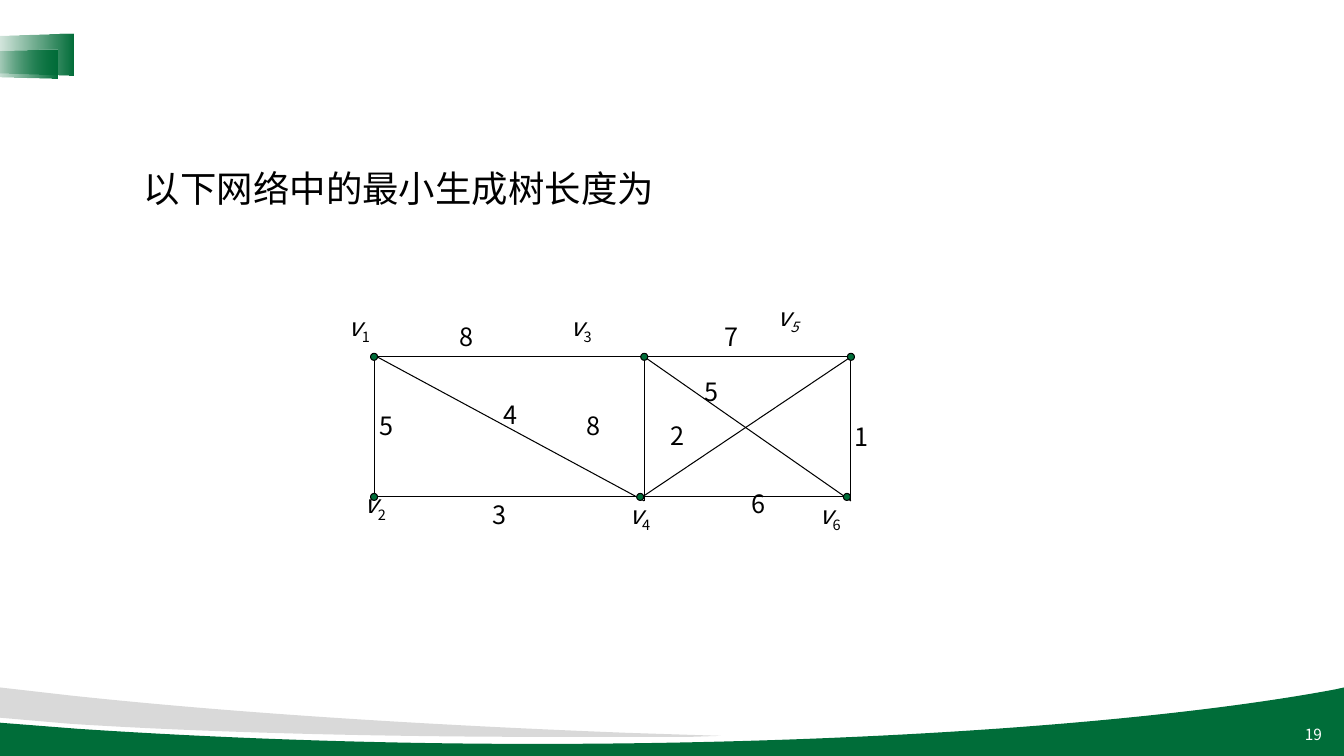
from pptx import Presentation
from pptx.dml.color import RGBColor
from pptx.enum.shapes import MSO_CONNECTOR as Connector, MSO_SHAPE as Shape
from pptx.enum.text import MSO_ANCHOR as Anchor, PP_ALIGN as Align
from pptx.oxml.ns import qn
from pptx.util import Inches, Pt
from lxml.etree import SubElement

GREEN = RGBColor(0x00, 0x6D, 0x39)
GRAY = RGBColor(0xD9, 0xD9, 0xD9)
BLACK = RGBColor(0, 0, 0)
WHITE = RGBColor(0xFF, 0xFF, 0xFF)
FONT = "Noto Sans CJK SC"
WIDTH, HEIGHT = 13.33, 7.5

# Places in the network are measured from vertex 1.
BOTTOM, MIDDLE, RIGHT = 1.39, 2.68, 4.73
VERTICES = {  # number: (dot centre, label corner)
    1: ((0, 0), (-0.35, -0.5)),
    2: ((0, BOTTOM), (-0.19, 1.26)),
    3: ((MIDDLE, 0), (1.85, -0.5)),
    4: ((2.64, BOTTOM), (2.43, 1.36)),
    5: ((RIGHT, 0), (3.9, -0.6)),
    6: ((4.69, BOTTOM), (4.32, 1.36)),
}
EDGES = [  # weight, start, end, label corner
    (8, (0.03, 0), (MIDDLE, 0), (0.75, -0.4)),
    (5, (0, 0), (0, BOTTOM), (-0.04, 0.48)),
    (4, (0.03, 0), (MIDDLE, 1.43), (1.19, 0.37)),
    (3, (0.03, BOTTOM), (2.66, BOTTOM), (1.08, 1.36)),
    (8, (MIDDLE, 0), (MIDDLE, 1.43), (2.01, 0.48)),
    (7, (MIDDLE, 0), (RIGHT, 0), (3.38, -0.4)),
    (2, (RIGHT, 0), (2.66, BOTTOM), (2.84, 0.58)),
    (5, (MIDDLE, 0), (RIGHT, 1.43), (3.18, 0.14)),
    (6, (MIDDLE, BOTTOM), (RIGHT, BOTTOM), (3.65, 1.26)),
    (1, (RIGHT, 0), (RIGHT, 1.43), (4.67, 0.59)),
]


def add_text(page, spans, left, top, width, height, size,
             color=BLACK, align=Align.LEFT, anchor=Anchor.TOP):
    """Add a one-paragraph box; each span is (text, italic, baseline)."""
    box = page.shapes.add_textbox(*map(Inches, (left, top, width, height)))
    box.text_frame.word_wrap = True
    box.text_frame.vertical_anchor = anchor
    para = box.text_frame.paragraphs[0]
    para.alignment = align
    for text, italic, baseline in spans:
        span = para.add_run()
        span.text = text
        look = {"name": FONT, "size": Pt(size), "italic": italic}
        for key, value in look.items():
            setattr(span.font, key, value)
        span.font.color.rgb = color
        props = span.font._element
        SubElement(props, qn("a:ea")).set("typeface", FONT)
        if baseline:
            props.set("baseline", str(baseline))


def add_wave(page, color, start, segments):
    """Add a filled outline; a segment of three points is a Bezier curve."""
    corners = [tuple(map(Inches, segment[-1])) for segment in segments]
    builder = page.shapes.build_freeform(*map(Inches, start), scale=1.0)
    builder.add_line_segments(corners, close=True)
    wave = builder.convert_to_shape()
    for line, segment in zip(list(wave._element.iter(qn("a:lnTo"))), segments):
        if len(segment) == 1:
            continue
        outline = line.getparent()
        curve = SubElement(outline, qn("a:cubicBezTo"))
        for x, y in segment:
            point = SubElement(curve, qn("a:pt"))
            point.set("x", str(Inches(x) - wave.left))
            point.set("y", str(Inches(y) - wave.top))
        outline.replace(line, curve)
    wave.shadow.inherit = False
    wave.fill.solid()
    wave.fill.fore_color.rgb = color
    wave.line.fill.background()


def add_footer(page):
    add_wave(page, GREEN, (WIDTH, 6.82), [
        [(WIDTH, HEIGHT)], [(0, HEIGHT)], [(0, 7.17)], [(0.77, 7.23)],
        [(2.12, 7.32), (3.67, 7.38), (5.32, 7.38)],
        [(8.62, 7.38), (11.53, 7.16), (13.24, 6.84)]])
    add_wave(page, GRAY, (0, 6.82), [
        [(0.7, 6.9)], [(2.29, 7.07), (4.17, 7.19), (6.22, 7.27)],
        [(7.15, 7.3)], [(6.84, 7.31)],
        [(6.4, 7.31), (5.94, 7.31), (5.48, 7.31)],
        [(3.61, 7.31), (1.92, 7.26), (0.69, 7.18)], [(0, 7.12)]])
    add_text(page, [("19", False, 0)], 10.21, 7.09, 3, 0.4, 11,
             WHITE, Align.RIGHT, Anchor.MIDDLE)


def add_corner_flag(page, left, top, width, height):
    """Add a trapezoid lying on its side that fades out to the left."""
    flag = page.shapes.add_shape(
        Shape.TRAPEZOID, *map(Inches, (left, top, width, height)))
    flag.rotation = 270
    flag.adjustments[0] = 0.072
    flag.shadow.inherit = False
    flag.line.fill.background()
    flag.fill.gradient()
    flag.fill.gradient_angle = 270
    for stop in flag.fill.gradient_stops:
        stop.color.rgb = GREEN
    clear = flag.fill.gradient_stops[0]._gs.find(qn("a:srgbClr"))
    SubElement(clear, qn("a:alpha")).set("val", "0")


def add_edge(page, start, end):
    edge = page.shapes.add_connector(
        Connector.STRAIGHT, *map(Inches, (*start, *end)))
    edge.line.color.rgb = BLACK
    edge.line.width = Pt(0.75)
    SubElement(edge._element.spPr, qn("a:effectLst"))


def add_vertex(page, x, y, size=0.07):
    dot = page.shapes.add_shape(
        Shape.OVAL, *map(Inches, (x - size / 2, y - size / 2, size, size)))
    dot.shadow.inherit = False
    dot.fill.solid()
    dot.fill.fore_color.rgb = GREEN
    dot.line.color.rgb = BLACK
    dot.line.width = Pt(0.75)


def add_network(page, left, top):
    def place(point):
        return left + point[0], top + point[1]

    for weight, start, end, corner in EDGES:
        add_edge(page, place(start), place(end))
        add_text(page, [(str(weight), False, 0)], *place(corner), 0.65, 0.4, 18)
    for number, (centre, corner) in VERTICES.items():
        add_vertex(page, *place(centre))
        spans = [("v", True, 0), (str(number), number == 5, -25000)]
        add_text(page, spans, *place(corner), 0.79, 0.4, 18)


def main():
    deck = Presentation()
    deck.slide_width, deck.slide_height = Inches(WIDTH), Inches(HEIGHT)
    page = deck.slides.add_slide(deck.slide_layouts[6])
    add_footer(page)
    add_corner_flag(page, 0.08, 0.1, 0.41, 0.88)
    add_corner_flag(page, 0.06, 0.27, 0.29, 0.73)
    add_text(page, [("以下网络中的最小生成树长度为", False, 0)],
             1.33, 0.69, 10.67, 2.34, 26, anchor=Anchor.MIDDLE)
    add_network(page, 3.71, 3.54)
    deck.save("out.pptx")


if __name__ == "__main__":
    main()
